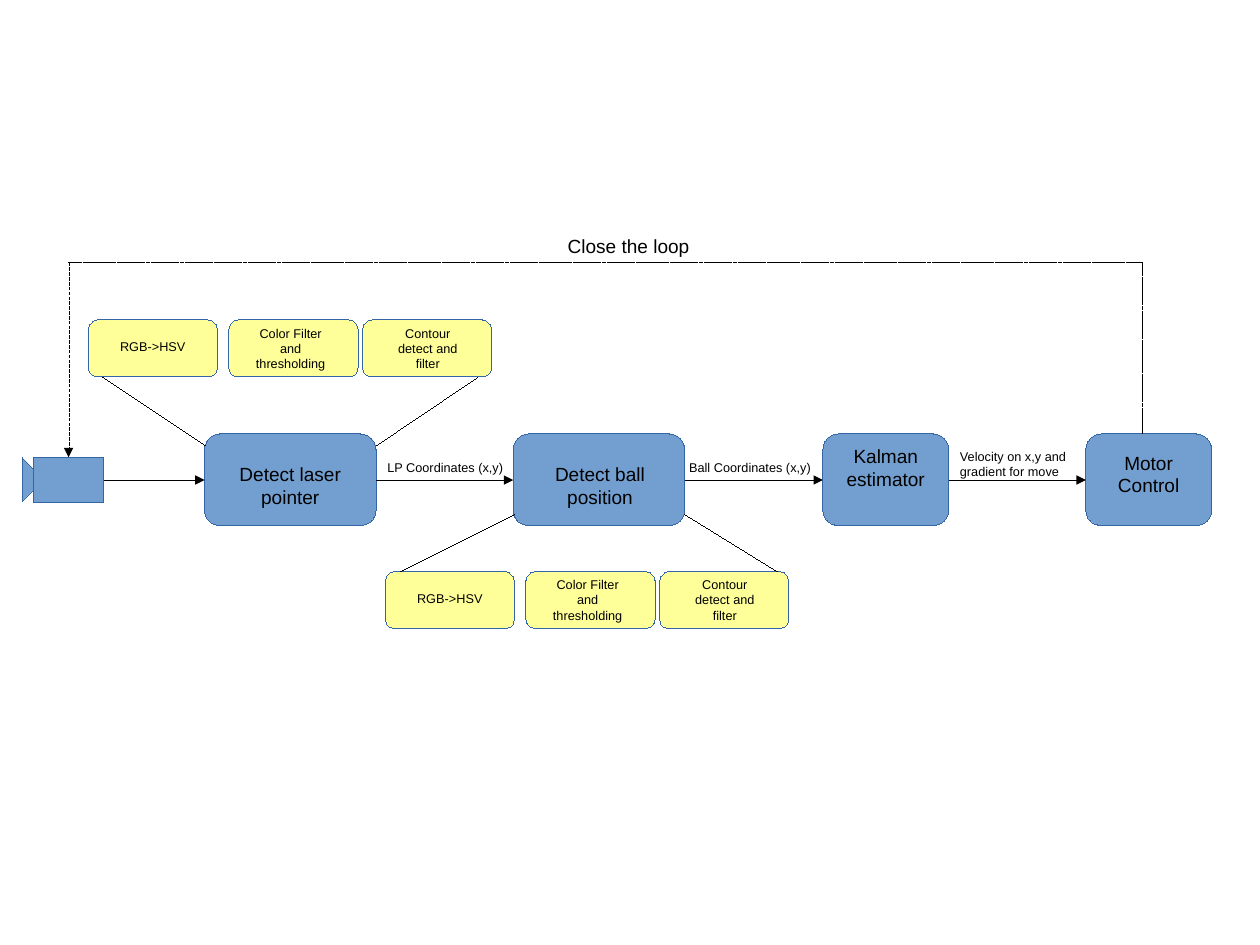
from lxml import etree
from pptx import Presentation
from pptx.dml.color import RGBColor
from pptx.enum import dml, shapes, text
from pptx.oxml import ns
from pptx.util import Pt

BLUE = RGBColor(0x72, 0x9F, 0xCF)
EDGE = RGBColor(0x34, 0x65, 0xA4)
YELLOW = RGBColor(0xFF, 0xFF, 0x99)
BLACK = RGBColor(0, 0, 0)

KIND = shapes.MSO_SHAPE
MID = 302.4     # height of the main flow
TOP = 273.4     # top of the main blocks
TALL = 57.6     # height of the main blocks
LOOP = 165.4    # height of the feedback line


class Chart:
    def __init__(self, slide, font="Arial", big=12, small=8):
        self.slide = slide
        self.font = font
        self.big = big
        self.small = small

    def hair(self, item, color):
        """Give an item a hairline; the zero width must be written out."""
        item.line.color.rgb = color
        stroke = item.line._get_or_add_ln()
        stroke.set("w", "0")
        return stroke

    def block(self, x, y, w, h, fill=BLUE, kind=KIND.ROUNDED_RECTANGLE, turn=0):
        item = self.slide.shapes.add_shape(kind, Pt(x), Pt(y), Pt(w), Pt(h))
        item.shadow.inherit = False
        item.rotation = turn
        item.fill.solid()
        item.fill.fore_color.rgb = fill
        self.hair(item, EDGE)

    def label(self, words, x, y, w, h, size, center=True, wrap=True):
        box = self.slide.shapes.add_textbox(Pt(x), Pt(y), Pt(w), Pt(h))
        frame = box.text_frame
        frame.word_wrap = wrap
        frame.auto_size = text.MSO_AUTO_SIZE.SHAPE_TO_FIT_TEXT
        para = frame.paragraphs[0]
        para.alignment = text.PP_ALIGN.CENTER if center else text.PP_ALIGN.LEFT
        run = para.add_run()
        run.text = words
        run.font.name = self.font
        run.font.size = Pt(size)
        run.font.color.rgb = BLACK

    def line(self, x1, y1, x2, y2, arrow=False, dash=False):
        link = self.slide.shapes.add_connector(
            shapes.MSO_CONNECTOR.STRAIGHT, Pt(x1), Pt(y1), Pt(x2), Pt(y2))
        stroke = self.hair(link, BLACK)
        if dash:
            link.line.dash_style = dml.MSO_LINE.SQUARE_DOT
        if arrow:
            etree.SubElement(stroke, ns.qn("a:tailEnd"), type="triangle")
        etree.SubElement(link._element.spPr, ns.qn("a:effectLst"))

    def steps(self, x, y):
        """Draw the three image processing steps of one detector."""
        parts = [
            ("RGB->HSV", 0, 10.8, 8.6, 59.8, 25.2),
            ("Color Filter and thresholding", 88.6, 7.2, 0, 63.4, 36),
            ("Contour detect and filter", 172.8, 9.4, 0, 63.4, 36),
        ]
        for words, left, dx, dy, w, h in parts:
            self.block(x + left, y, 81.4, 36, YELLOW)
            self.label(words, x + left + dx, y + dy, w, h, self.small)


def main():
    deck = Presentation()
    deck.slide_width, deck.slide_height = Pt(793.7), Pt(595.28)
    chart = Chart(deck.slides.add_slide(deck.slide_layouts[6]))

    # Camera: lens, then body
    chart.block(4.3, 292.3, 19.4, 19.4, kind=KIND.RIGHT_TRIANGLE, turn=225)
    chart.block(20.9, 288, 44.6, 28.8, kind=KIND.RECTANGLE)

    # Main blocks: words, left, width, text left, text top
    stages = [
        ("Detect laser pointer", 128.9, 108, 143.3, 287.7),
        ("Detect ball position", 323.3, 108, 338.4, 287.7),
        ("Kalman estimator", 518.4, 79.2, 518.4, 276.3),
        ("Motor Control", 684, 79.2, 684, 280.6),
    ]
    start = 65.5
    for words, x, w, left, top in stages:
        chart.block(x, TOP, w, TALL)
        chart.line(start, MID, x, MID, arrow=True)
        chart.label(words, left, top, 79.2, 36, chart.big)
        start = x + w

    chart.label("LP Coordinates (x,y)", 236.9, 286.4, 88.5, 15.8,
                chart.small, center=False, wrap=False)
    chart.label("Ball Coordinates (x,y)", 427, 286.4, 92, 15.8,
                chart.small, center=False, wrap=False)
    chart.label("Velocity on x,y and gradient for move", 597.6, 279.2, 86.4, 43.2,
                chart.small, center=False)

    # Steps of each detector and the lines that open them out
    chart.steps(55.6, 201.5)
    chart.line(64.8, 237.6, 129.6, 280.8)
    chart.line(236.9, 280.8, 301, 237.6)
    chart.steps(242.7, 360)
    chart.line(252, 360, 324, 324)
    chart.line(431.3, 324, 489.6, 360)

    # Feedback from the motor to the camera
    chart.line(43.2, LOOP, 43.2, 288, arrow=True, dash=True)
    chart.line(43.2, LOOP, 720, LOOP, dash=True)
    chart.line(720, LOOP, 720, TOP, dash=True)
    chart.label("Close the loop", 309.6, 144, 172.8, 36, chart.big)

    deck.save("out.pptx")


if __name__ == "__main__":
    main()
